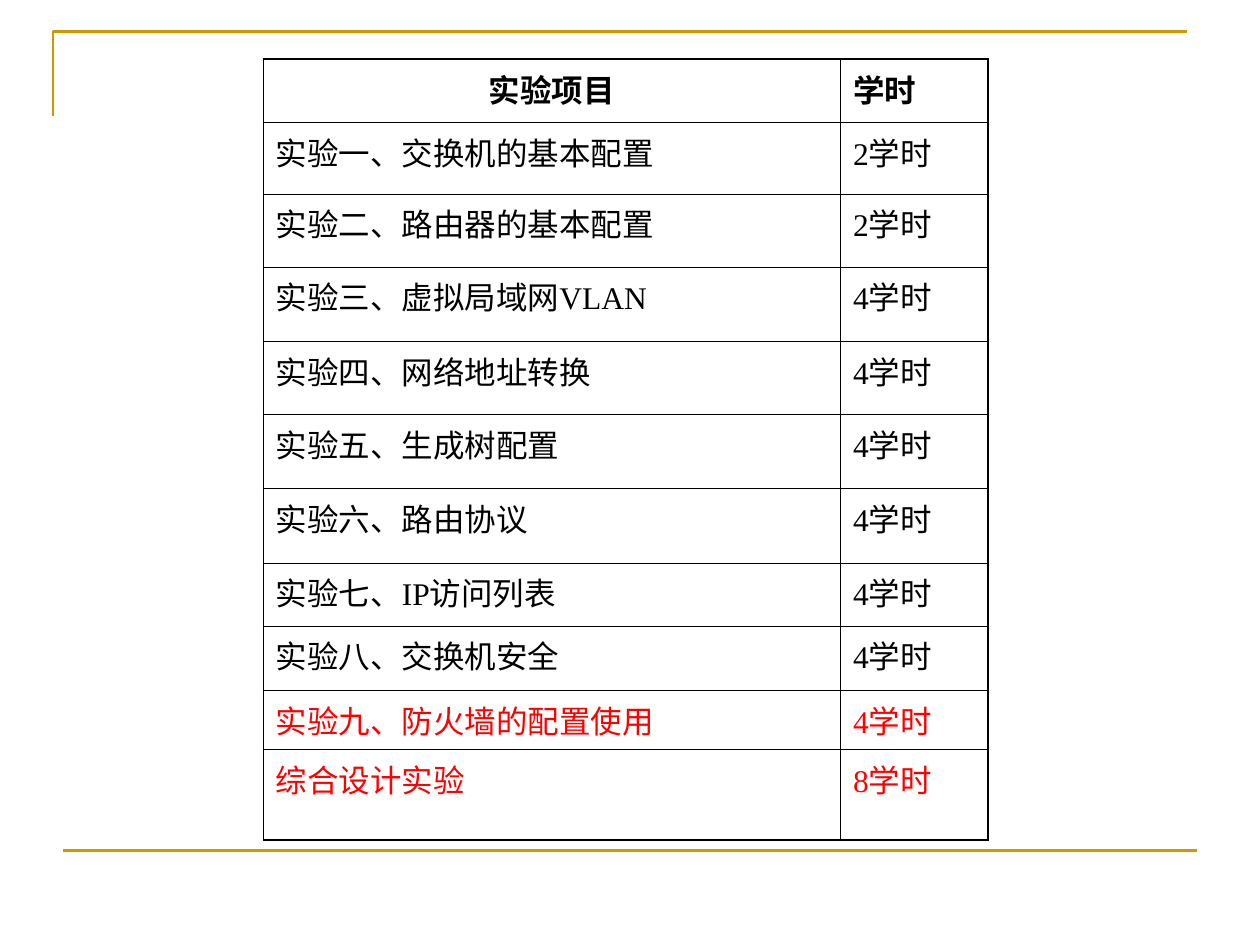
"""Build a slide with the timetable of network lab experiments."""
import lxml.etree
import pptx
import pptx.dml.color
import pptx.enum.shapes
import pptx.enum.text
import pptx.oxml.ns
import pptx.util

Inches = pptx.util.Inches
Pt = pptx.util.Pt
qn = pptx.oxml.ns.qn

COLORS = {"gold": "CC9900", "ink": "000000", "accent": "FF0000", "paper": "FFFFFF"}
FONT = "Times New Roman"
THIN, THICK = 0.45, 0.96
TABLE_LEFT, TABLE_TOP = 2.09, 0.47
COLUMN_WIDTHS = [4.58, 1.17]
ROWS = [
    ("实验项目", "学时", 0.5, "ink"),
    ("实验一、交换机的基本配置", "2学时", 0.57, "ink"),
    ("实验二、路由器的基本配置", "2学时", 0.58, "ink"),
    ("实验三、虚拟局域网VLAN", "4学时", 0.59, "ink"),
    ("实验四、网络地址转换", "4学时", 0.58, "ink"),
    ("实验五、生成树配置", "4学时", 0.59, "ink"),
    ("实验六、路由协议", "4学时", 0.59, "ink"),
    ("实验七、IP访问列表", "4学时", 0.5, "ink"),
    ("实验八、交换机安全", "4学时", 0.51, "ink"),
    ("实验九、防火墙的配置使用", "4学时", 0.47, "accent"),
    ("综合设计实验", "8学时", 0.72, "accent"),
]


def rgb(name):
    return pptx.dml.color.RGBColor.from_string(COLORS[name])


def write_text(frame, text, size=18, color="ink", bold=False, centered=False):
    para = frame.paragraphs[0]
    align = pptx.enum.text.PP_ALIGN
    para.alignment = align.CENTER if centered else align.LEFT
    span = para.add_run()
    span.text = text
    span.font.name = FONT
    span.font.size = Pt(size)
    span.font.bold = bold
    span.font.color.rgb = rgb(color)


def set_borders(cell, widths):
    properties = cell._tc.get_or_add_tcPr()
    for position, (side, width) in enumerate(widths.items()):
        line = lxml.etree.Element(qn(f"a:ln{side}"), w=str(Pt(width)))
        fill = lxml.etree.SubElement(line, qn("a:solidFill"))
        lxml.etree.SubElement(fill, qn("a:srgbClr"), val=COLORS["ink"])
        properties.insert(position, line)


def style_rule(shape):
    shape.line.color.rgb = rgb("gold")
    shape.line.width = Pt(1.5)


def add_rules(page):
    builder = page.shapes.build_freeform(Inches(0.42), Inches(0.92))
    corner = [(Inches(0.42), Inches(0.25)), (Inches(9.42), Inches(0.25))]
    builder.add_line_segments(corner, close=False)
    bracket = builder.convert_to_shape()
    bracket.fill.background()
    bracket.shadow.inherit = False
    style_rule(bracket)

    footer = page.shapes.add_connector(
        pptx.enum.shapes.MSO_CONNECTOR.STRAIGHT,
        Inches(0.5), Inches(6.75), Inches(9.5), Inches(6.75))
    lxml.etree.SubElement(footer._element.spPr, qn("a:effectLst"))
    style_rule(footer)


def add_timetable(page):
    height = sum(row[2] for row in ROWS)
    table = page.shapes.add_table(
        len(ROWS), len(COLUMN_WIDTHS), Inches(TABLE_LEFT), Inches(TABLE_TOP),
        Inches(sum(COLUMN_WIDTHS)), Inches(height)).table
    table.horz_banding = False
    table.first_row = False
    for column, width in zip(table.columns, COLUMN_WIDTHS):
        column.width = Inches(width)
    last_row, last_column = len(ROWS) - 1, len(COLUMN_WIDTHS) - 1
    for r, (name, hours, row_height, color) in enumerate(ROWS):
        table.rows[r].height = Inches(row_height)
        for c, text in enumerate((name, hours)):
            cell = table.cell(r, c)
            cell.fill.background()
            write_text(cell.text_frame, text, color=color,
                       bold=r == 0, centered=r == 0 and c == 0)
            set_borders(cell, {
                "L": THICK if c == 0 else THIN,
                "R": THICK if c == last_column else THIN,
                "T": THICK if r == 0 else THIN,
                "B": THICK if r == last_row else THIN,
            })


def main():
    deck = pptx.Presentation()
    deck.slide_width, deck.slide_height = Inches(10), Inches(7.5)
    page = deck.slides.add_slide(deck.slide_layouts[6])
    page.background.fill.solid()
    page.background.fill.fore_color.rgb = rgb("paper")
    add_rules(page)
    add_timetable(page)
    deck.save("out.pptx")


if __name__ == "__main__":
    main()
